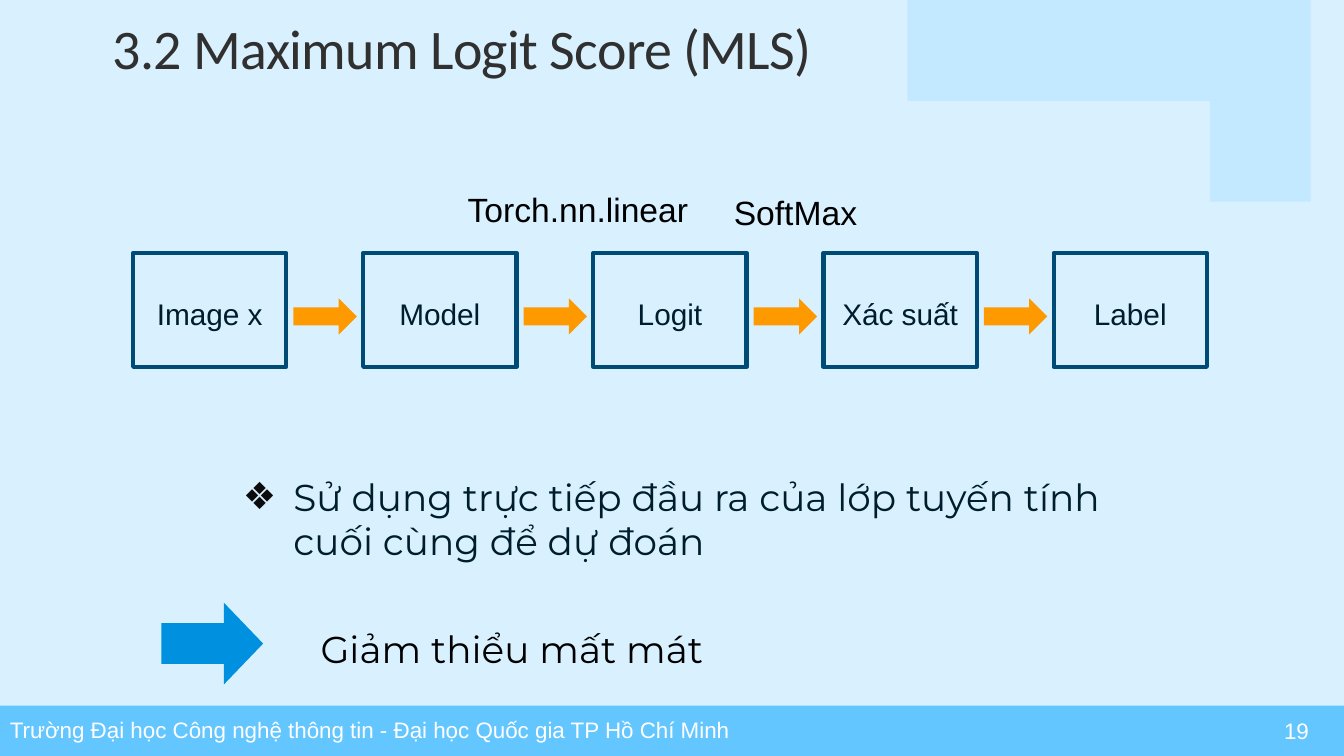
from lxml import etree
from pptx import Presentation
from pptx.dml.color import RGBColor
from pptx.enum.shapes import MSO_SHAPE
from pptx.enum.text import MSO_ANCHOR, PP_ALIGN
from pptx.oxml.ns import qn
from pptx.util import Inches, Pt

RECT, ARROW = MSO_SHAPE.RECTANGLE, MSO_SHAPE.RIGHT_ARROW
TOP, MIDDLE = MSO_ANCHOR.TOP, MSO_ANCHOR.MIDDLE
LEFT, CENTER, RIGHT = PP_ALIGN.LEFT, PP_ALIGN.CENTER, PP_ALIGN.RIGHT

BACKGROUND, WAVE_FILL, FOOTER_FILL = "D9F1FF", "C2E9FF", "63C6FF"
INK, STEP_LINE, STEP_ARROW, RESULT_ARROW = "001D2D", "004B76", "FF9900", "0090E0"

TITLE = "3.2 Maximum Logit Score (MLS)"
STEPS = ["Image x", "Model", "Logit", "Xác suất", "Label"]
OPERATIONS = [("Torch.nn.linear", (4.54, 1.83, 2.56, 0.5)),
              ("SoftMax", (7.18, 1.85, 2.08, 0.5))]
POINT = "Sử dụng trực tiếp đầu ra của lớp tuyến tính cuối cùng để dự đoán"
RESULT = "Giảm thiểu mất mát"
SCHOOL = "Trường Đại học Công nghệ thông tin - Đại học Quốc gia TP Hồ Chí Minh"
PAGE = "19"

STEP_LEFT, STEP_TOP, STEP_WIDTH, STEP_HEIGHT = 1.32, 2.51, 1.52, 1.13
STEP_PITCH = 2.2825
ARROW_OFFSET, ARROW_TOP, ARROW_WIDTH, ARROW_HEIGHT = 1.59, 2.96, 0.63, 0.36

# Corner points, then Bezier segments (two controls and an end point)
WAVE_START = [(13.33, 0.01), (13.33, 1.01)]
WAVE_CURVES = [
    ((13.33, 1.01), (13.1, 1.55), (12.45, 1.55)),
    ((12.29, 1.55), (12.11, 1.52), (11.9, 1.44)),
    ((10.95, 1.09), (10.66, 0.56), (9.91, 0.56)),
    ((9.81, 0.56), (9.69, 0.57), (9.57, 0.59)),
    ((9.45, 0.61), (9.35, 0.62), (9.24, 0.62)),
    ((8.41, 0.62), (7.94, 0.01), (7.94, 0.01)),
]
CURVE_STEPS = 16


def color(hex_string):
    return RGBColor.from_string(hex_string)


def paint(shape, fill=None, line=None):
    shape.shadow.inherit = False
    if fill:
        shape.fill.solid()
        shape.fill.fore_color.rgb = color(fill)
    else:
        shape.fill.background()
    if line:
        shape.line.color.rgb = color(line)
        shape.line.width = Pt(3)
    else:
        shape.line.fill.background()


def add_block(kind, box, fill=None, line=None):
    block = slide.shapes.add_shape(kind, *map(Inches, box))
    paint(block, fill, line)
    return block


def write(shape, text, size, ink, font="Arial", align=LEFT, anchor=TOP):
    frame = shape.text_frame
    frame.word_wrap = True
    frame.vertical_anchor = anchor
    frame.text = text
    paragraph = frame.paragraphs[0]
    paragraph.alignment = align
    run = paragraph.runs[0]
    run.font.size, run.font.name = Pt(size), font
    run.font.color.rgb = color(ink)
    return run


def add_text(box, text, size, ink, inset=None, **style):
    label = slide.shapes.add_textbox(*map(Inches, box))
    if inset:
        frame = label.text_frame
        frame.margin_left = frame.margin_right = Inches(inset)
        frame.margin_top = frame.margin_bottom = Inches(inset)
    write(label, text, size, ink, **style)
    return label


def add_bullet(paragraph, mark, ink, indent, hanging):
    properties = paragraph._p.get_or_add_pPr()
    properties.set("marL", str(Inches(indent)))
    properties.set("indent", str(-Inches(hanging)))
    bullet_color = etree.SubElement(properties, qn("a:buClr"))
    etree.SubElement(bullet_color, qn("a:srgbClr")).set("val", ink)
    etree.SubElement(properties, qn("a:buFont")).set("typeface", "Arial")
    etree.SubElement(properties, qn("a:buChar")).set("char", mark)


def curve_points(start, control_a, control_b, end):
    """Points along a cubic Bezier segment, without its start."""
    for step in range(1, CURVE_STEPS + 1):
        t = step / CURVE_STEPS
        weights = ((1 - t) ** 3, 3 * t * (1 - t) ** 2, 3 * t * t * (1 - t), t ** 3)
        corners = (start, control_a, control_b, end)
        yield tuple(sum(w * c[axis] for w, c in zip(weights, corners))
                    for axis in (0, 1))


def add_wave():
    points = list(WAVE_START)
    for curve in WAVE_CURVES:
        points.extend(curve_points(points[-1], *curve))
    builder = slide.shapes.build_freeform(*points[0], scale=Inches(1))
    builder.add_line_segments(points[1:], close=True)
    paint(builder.convert_to_shape(), WAVE_FILL)


presentation = Presentation()
presentation.slide_width, presentation.slide_height = Inches(13.33), Inches(7.5)
slide = presentation.slides.add_slide(presentation.slide_layouts[6])
slide.background.fill.solid()
slide.background.fill.fore_color.rgb = color(BACKGROUND)

add_block(RECT, (0, 7, 13.33, 0.5), FOOTER_FILL)
add_text((10.08, 7.05, 3, 0.4), PAGE, 16, "FFFFFF", align=RIGHT, anchor=MIDDLE)
add_text((0, 7.06, 7.5, 0.37), SCHOOL, 16, "FFFFFF")
add_wave()

title = add_text((1.02, 0.09, 8.93, 0.78), TITLE, 39.9, "303030", font="Calibri")
title_run = title.text_frame.paragraphs[0].runs[0]
title_run.font._element.set("spc", "-50")

for index, step_name in enumerate(STEPS):
    left = STEP_LEFT + index * STEP_PITCH
    step_box = add_block(RECT, (left, STEP_TOP, STEP_WIDTH, STEP_HEIGHT), line=STEP_LINE)
    write(step_box, step_name, 21.3, INK, align=CENTER, anchor=MIDDLE)
    step_box.text_frame.margin_top = Inches(0.12)
    if index < len(STEPS) - 1:
        add_block(ARROW, (left + ARROW_OFFSET, ARROW_TOP, ARROW_WIDTH, ARROW_HEIGHT),
                  STEP_ARROW)

for operation, box in OPERATIONS:
    add_text(box, operation, 24, "000000")

point = add_text((2.11, 4.57, 9.39, 1.22), POINT, 26.7, INK, inset=0.13,
                 font="Montserrat")
add_bullet(point.text_frame.paragraphs[0], "❖", "0C0C0C", 0.67, 0.5)

result_arrow = add_block(ARROW, (1.6, 5.98, 1.01, 0.81), RESULT_ARROW)
result_arrow.adjustments[1] = 0.48
add_text((3.05, 6.08, 4.9, 0.72), RESULT, 26.7, "000000", inset=0.13,
         font="Montserrat")

presentation.save("out.pptx")
